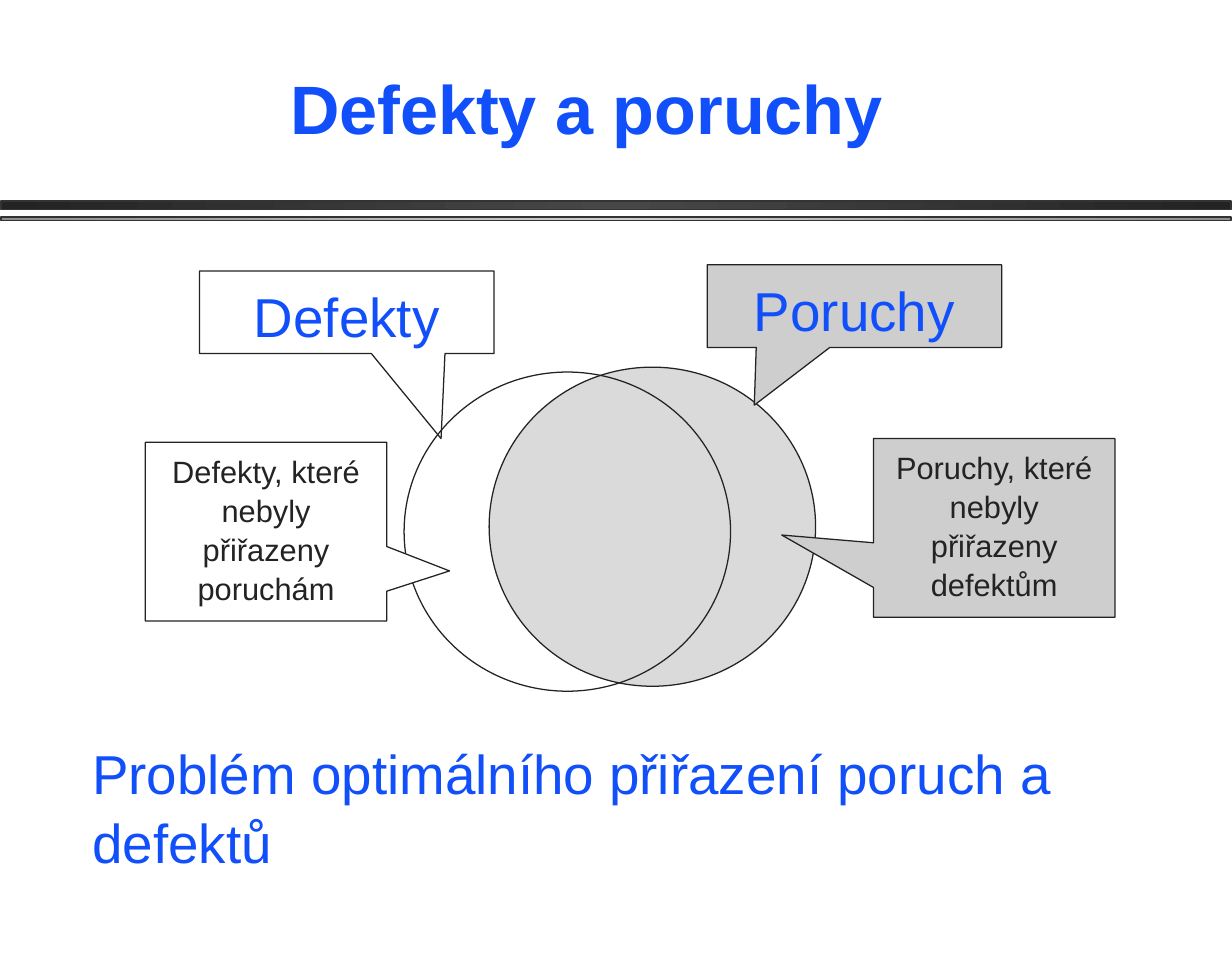
"""Build the slide on defects and failures with its overlapping circles."""
from copy import deepcopy

from pptx import Presentation
from pptx.dml.color import RGBColor
from pptx.enum.shapes import MSO_SHAPE as SHAPE
from pptx.enum.text import MSO_ANCHOR as ANCHOR, PP_ALIGN as ALIGN
from pptx.util import Inches, Pt

BLUE, DARK, GREY = "114FFB", "232323", "CECECE"


def rgb(color):
    return RGBColor.from_string(color)


def write(sp, text, size, color, align=ALIGN.CENTER, spacing=1.05, bold=False, anchor=ANCHOR.TOP):
    tf = sp.text_frame
    tf.word_wrap = True
    tf.vertical_anchor = anchor
    tf.margin_left = tf.margin_right = Inches(0.1)
    tf.margin_top = Inches(0.07)
    tf.margin_bottom = Inches(0.05)
    tf.text = text
    p = tf.paragraphs[0]
    p.alignment = align
    p.line_spacing = spacing
    font = p.runs[0].font
    font.name, font.size, font.bold = "Arial", Pt(size), bold
    font.color.rgb = rgb(color)


prs = Presentation()
prs.slide_width, prs.slide_height = Inches(10), Inches(7.8)
s = prs.slides.add_slide(prs.slide_layouts[5])

title = s.shapes.title
title.left, title.top, title.width, title.height = map(Inches, (0.36, 0.43, 8.8, 0.82))
write(title, "Defekty a poruchy", 40, BLUE, spacing=1.0, bold=True, anchor=ANCHOR.BOTTOM)

for top, height, edge, middle in [(1.63, 0.07, DARK, "474747"), (1.76, 0.03, "8F8F8F", GREY)]:
    sp = s.shapes.add_shape(SHAPE.RECTANGLE, Inches(0.01), Inches(top), Inches(9.98), Inches(height))
    sp.shadow.inherit = False
    sp.fill.gradient()
    sp.fill.gradient_angle = 180
    stops = sp.fill._fill._gradFill.gsLst
    stops.append(deepcopy(stops[0]))
    for stop, position, color in zip(sp.fill.gradient_stops, (0, 0.5, 1), (edge, middle, edge)):
        stop.position = position
        stop.color.rgb = rgb(color)
    sp.line.color.rgb = rgb("333333")
    sp.line.width = Pt(1)

CALLOUT = SHAPE.RECTANGULAR_CALLOUT
diagram = [
    (SHAPE.OVAL, (3.97, 2.98, 2.65, 2.59), "DADADA", (), "", 0, ""),
    (SHAPE.OVAL, (3.28, 3.02, 2.65, 2.59), None, (), "", 0, ""),
    (CALLOUT, (1.62, 2.2, 2.39, 0.67), None, (0.32, 1.53), "Defekty", 32, BLUE),
    (CALLOUT, (5.74, 2.15, 2.39, 0.67), GREY, (-0.34, 1.2), "Poruchy", 32, BLUE),
    (CALLOUT, (1.18, 3.59, 1.96, 1.45), "FFFFFF", (0.76, 0.22),
     "Defekty, které nebyly přiřazeny poruchám", 18, DARK),
    (CALLOUT, (7.09, 3.56, 1.96, 1.45), GREY, (-0.88, 0.04),
     "Poruchy, které nebyly přiřazeny defektům", 18, DARK),
]
for kind, box, fill, tail, text, size, color in diagram:
    sp = s.shapes.add_shape(kind, *map(Inches, box))
    sp.shadow.inherit = False
    if fill:
        sp.fill.solid()
        sp.fill.fore_color.rgb = rgb(fill)
    else:
        sp.fill.background()
    sp.line.color.rgb = rgb(DARK)
    sp.line.width = Pt(0.75)
    for i, value in enumerate(tail):
        sp.adjustments[i] = value
    if text:
        write(sp, text, size, color)

problem = s.shapes.add_textbox(*map(Inches, (0.65, 5.91, 9.05, 1.17)))
write(problem, "Problém optimálního přiřazení poruch a defektů", 32, BLUE, ALIGN.LEFT)

prs.save("out.pptx")
